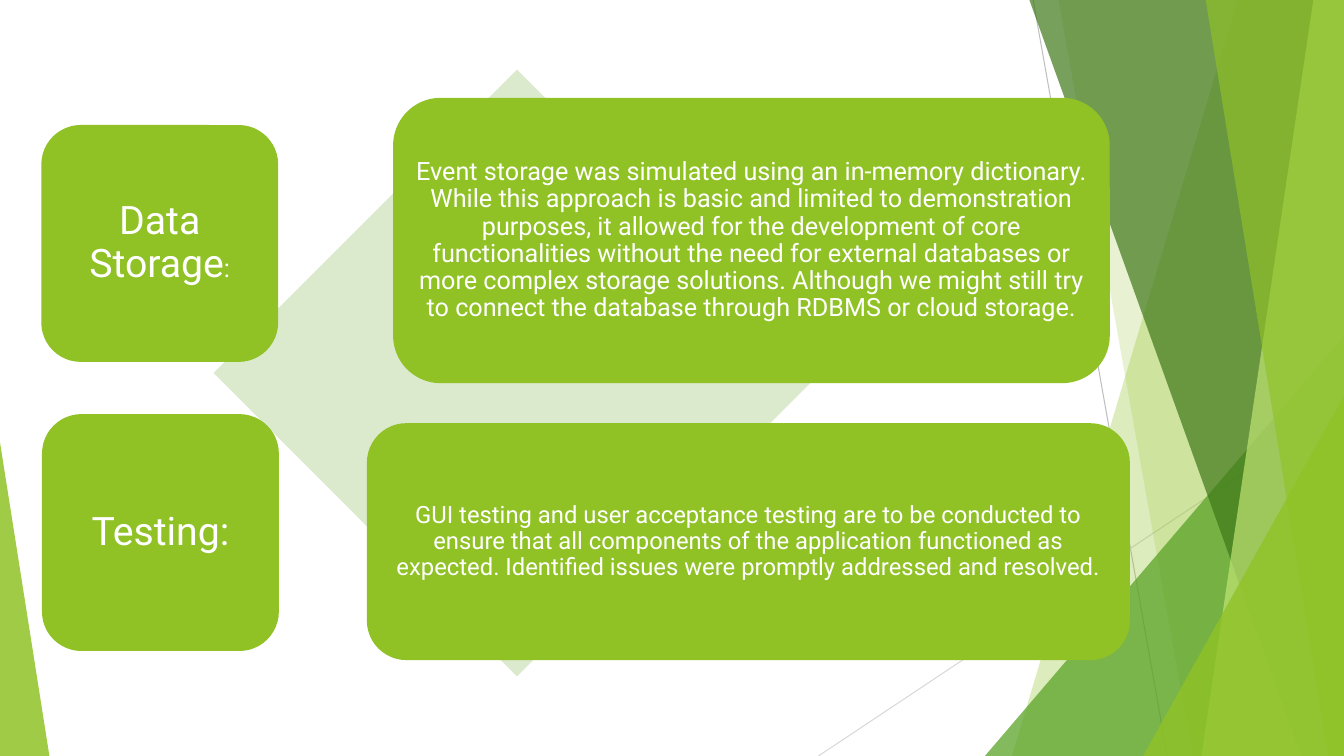
from lxml.etree import SubElement
from pptx import Presentation
from pptx.dml.color import RGBColor
from pptx.enum.shapes import MSO_CONNECTOR, MSO_SHAPE as Shape
from pptx.enum.text import MSO_ANCHOR, PP_ALIGN
from pptx.oxml.ns import qn
from pptx.util import Pt

WIDTH, HEIGHT = 960, 540
FONT = "Roboto"
WHITE = RGBColor(0xFF, 0xFF, 0xFF)
LIME = RGBColor(0x90, 0xC2, 0x26)
PALE_LIME = RGBColor(0xC0, 0xE4, 0x74)
GREEN = RGBColor(0x54, 0xA0, 0x21)
DARK_GREEN = RGBColor(0x3F, 0x78, 0x19)
MIST = RGBColor(0xDB, 0xE9, 0xCD)
GRAY = RGBColor(0xBF, 0xBF, 0xBF)
LIGHT_GRAY = RGBColor(0xD9, 0xD9, 0xD9)

STORAGE_TEXT = (
    "Event storage was simulated using an in-memory dictionary. While this "
    "approach is basic and limited to demonstration purposes, it allowed for "
    "the development of core functionalities without the need for external "
    "databases or more complex storage solutions. Although we might still try "
    "to connect the database through RDBMS or cloud storage.")
TESTING_TEXT = (
    "GUI testing and user acceptance testing are to be conducted to ensure "
    "that all components of the application functioned as expected. "
    "Identified issues were promptly addressed and resolved.")


def paint(sp, color, opacity=100):
    sp.shadow.inherit = False
    sp.line.fill.background()
    sp.fill.solid()
    sp.fill.fore_color.rgb = color
    if opacity < 100:
        clr = sp.fill._xPr.find(qn("a:solidFill"))[0]
        SubElement(clr, qn("a:alpha")).set("val", str(opacity * 1000))


def add_shape(s, kind, box, color, opacity=100, adj=None):
    sp = s.shapes.add_shape(kind, *map(Pt, box))
    if adj is not None:
        sp.adjustments[0] = adj
    paint(sp, color, opacity)
    return sp


def add_line(s, start, end, color):
    line = s.shapes.add_connector(
        MSO_CONNECTOR.STRAIGHT, *map(Pt, (*start, *end)))
    line.line.color.rgb = color
    line.line.width = Pt(0.75)
    SubElement(line._element.spPr, qn("a:effectLst"))


def add_band(s, top_x, bottom_x, color, opacity):
    """Band from a slanted left edge to the right edge of the slide."""
    fb = s.shapes.build_freeform(Pt(top_x), Pt(-0.6))
    corners = [(WIDTH, -0.6), (WIDTH, HEIGHT), (bottom_x, HEIGHT)]
    fb.add_line_segments([(Pt(x), Pt(y)) for x, y in corners], close=True)
    paint(fb.convert_to_shape(), color, opacity)


def add_card(s, box, inset, runs):
    sp = add_shape(s, Shape.ROUNDED_RECTANGLE, box, LIME)
    tf = sp.text_frame
    tf.word_wrap = True
    tf.vertical_anchor = MSO_ANCHOR.MIDDLE
    tf.margin_left = tf.margin_right = Pt(inset)
    tf.margin_top = tf.margin_bottom = Pt(inset)
    p = tf.paragraphs[0]
    p.alignment = PP_ALIGN.CENTER
    p.line_spacing = 0.9
    for text, size in runs:
        r = p.add_run()
        r.text = text
        r.font.name = FONT
        r.font.size = Pt(size)
        r.font.color.rgb = WHITE


def add_backdrop(s):
    add_line(s, (738, 0), (833.8, HEIGHT), GRAY)
    add_line(s, (WIDTH, 290.2), (584.6, HEIGHT), LIGHT_GRAY)
    add_band(s, 884.2, 722.9, LIME, 30)
    add_band(s, 756, 851.8, LIME, 20)
    add_shape(s, Shape.ISOSCELES_TRIANGLE, (703.5, 240, 256.5, 300), GREEN, 72, 1)
    add_band(s, 735.1, 929.5, DARK_GREEN, 70)
    add_band(s, 938.2, 858.2, PALE_LIME, 70)
    add_band(s, 861.1, 949, LIME, 65)
    add_shape(s, Shape.ISOSCELES_TRIANGLE, (816.5, 283, 143.5, 257), LIME, 80, 1)
    add_shape(s, Shape.ISOSCELES_TRIANGLE, (0, 316, 35.3, 224), LIME, 85, 0)


def main():
    prs = Presentation()
    prs.slide_width, prs.slide_height = Pt(WIDTH), Pt(HEIGHT)
    s = prs.slides.add_slide(prs.slide_layouts[6])

    # Facets at the slide edges
    add_backdrop(s)

    # Diamond behind the cards
    add_shape(s, Shape.DIAMOND, (152.6, 49.7, 433.4, 433.4), MIST)

    # Topic and explanation, row by row
    add_card(s, (29.5, 89.3, 169.2, 169.2), 8.4,
             [("Data", 28), (" ", 18), ("Storage", 28), (":", 18)])
    add_card(s, (280.8, 69.9, 511.9, 203.8), 5, [(STORAGE_TEXT, 18)])
    add_card(s, (30, 295.8, 169.2, 169.2), 8.4, [("Testing:", 28)])
    add_card(s, (262.1, 302.3, 545, 169.2), 5, [(TESTING_TEXT, 17)])

    prs.save("out.pptx")


if __name__ == "__main__":
    main()
